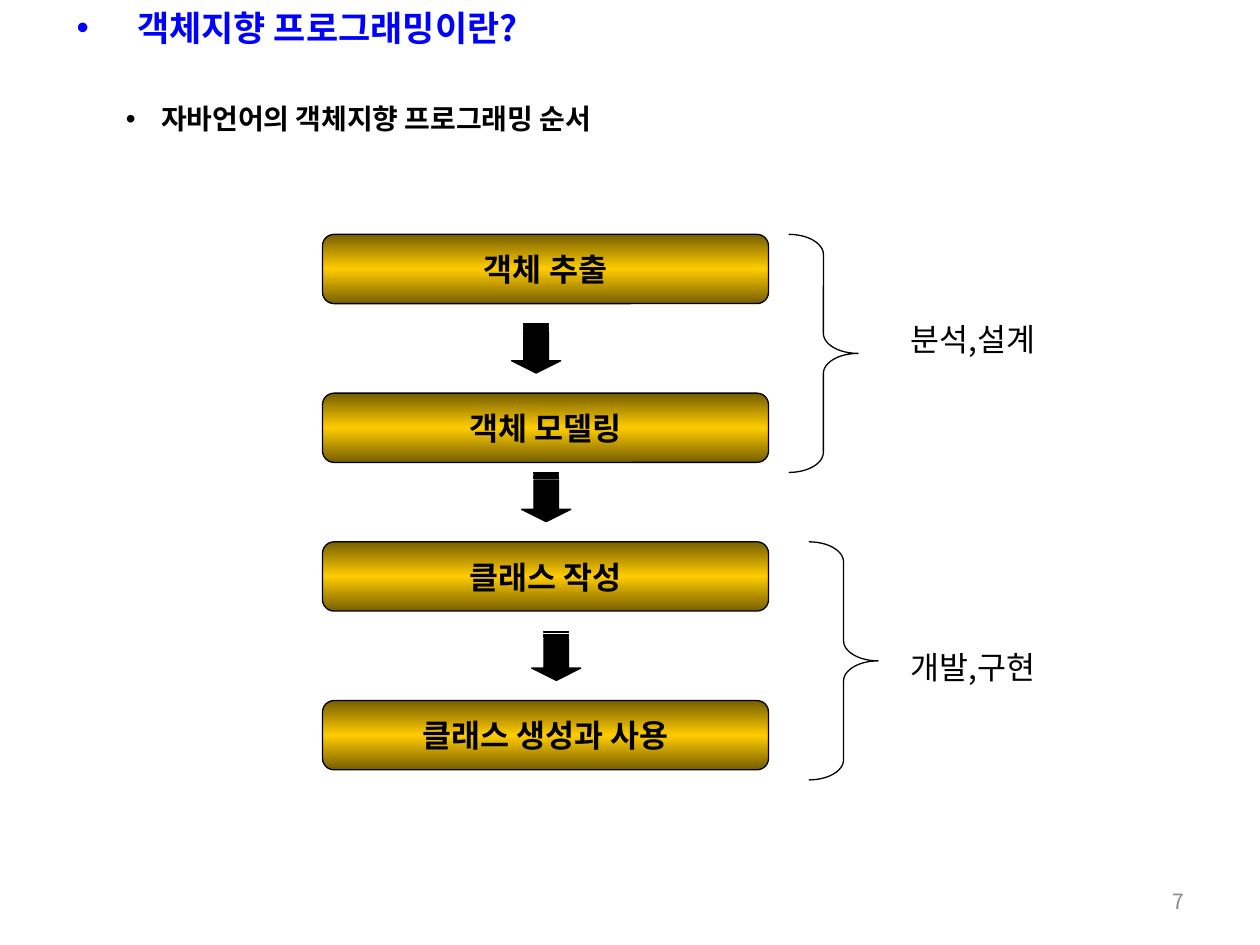
from copy import deepcopy

from lxml.etree import SubElement
from pptx import Presentation
from pptx.dml.color import RGBColor
from pptx.enum.shapes import MSO_SHAPE
from pptx.enum.text import MSO_ANCHOR, PP_ALIGN
from pptx.oxml.ns import qn
from pptx.util import Inches, Pt

FONT = "Noto Sans CJK KR"
BLACK, BLUE, GREY = "000000", "0000FF", "898989"
GRADIENT = [(0, "765E00"), (0.5, "FFCC00"), (1, "765E00")]

# text, left, top, width, height, size, colour, hanging indent, space before
HEADINGS = [
    ("객체지향 프로그래밍이란?", 0.51, 0, 8.43, 0.44, 20, BLUE, 0.48, 12.5),
    ("자바언어의 객체지향 프로그래밍 순서", 0.9, 0.76, 8.58, 0.37, 16, BLACK, 0.28, 10),
]
STEPS = [("객체 추출", 1.86), ("객체 모델링", 3.12),
         ("클래스 작성", 4.3), ("클래스 생성과 사용", 5.56)]
STEP_LEFT, STEP_WIDTH, STEP_HEIGHT = 2.56, 3.54, 0.55
ARROW_TOPS = [2.57, 3.75, 5.01]
ARROW_LEFT, ARROW_SHIFT, ARROW_SIZE = 4.06, 0.08, 0.39
# text, label top, brace left, brace top
PHASES = [("분석,설계", 2.49, 6.26, 1.86), ("개발,구현", 5.09, 6.42, 4.3)]
BRACE_WIDTH, BRACE_HEIGHT = 0.55, 1.89
LABEL_LEFT, LABEL_WIDTH, LABEL_HEIGHT = 7.13, 2.12, 0.4


def color(value):
    return RGBColor.from_string(value)


def write(shape, text, size, value=BLACK, bold=False,
          align=PP_ALIGN.LEFT, anchor=MSO_ANCHOR.TOP, space=0, wrap=True):
    frame = shape.text_frame
    frame.word_wrap = wrap
    frame.vertical_anchor = anchor
    paragraph = frame.paragraphs[0]
    paragraph.alignment = align
    paragraph.space_before = Pt(space)
    run = paragraph.add_run()
    run.text = text
    run.font.size = Pt(size)
    run.font.bold = bold
    run.font.name = FONT
    run.font.color.rgb = color(value)
    SubElement(run.font._element, qn("a:ea"), typeface=FONT)
    return paragraph


def add_bullet(paragraph, value, indent):
    properties = paragraph._p.get_or_add_pPr()
    properties.set("marL", str(Inches(indent)))
    properties.set("indent", str(-Inches(indent)))
    bullet_color = SubElement(properties, qn("a:buClr"))
    SubElement(bullet_color, qn("a:srgbClr"), val=value)
    SubElement(properties, qn("a:buFont"), typeface="Arial")
    SubElement(properties, qn("a:buChar"), char="•")


def fill_gradient(shape):
    shape.fill.gradient()
    shape.fill.gradient_angle = 270
    stop_list = shape._element.spPr.find(qn("a:gradFill")).find(qn("a:gsLst"))
    stop_list.append(deepcopy(stop_list[0]))
    for stop, (position, value) in zip(shape.fill.gradient_stops, GRADIENT):
        stop.position = position
        stop.color.rgb = color(value)


def add_box(slide, *place):
    return slide.shapes.add_textbox(*map(Inches, place))


def add_outlined(slide, kind, adjustments, *place):
    shape = slide.shapes.add_shape(kind, *map(Inches, place))
    shape.shadow.inherit = False
    for index, value in enumerate(adjustments):
        shape.adjustments[index] = value
    shape.line.color.rgb = color(BLACK)
    shape.line.width = Pt(0.75)
    return shape


def main():
    presentation = Presentation()
    presentation.slide_width, presentation.slide_height = Inches(10), Inches(7.5)
    slide = presentation.slides.add_slide(presentation.slide_layouts[6])

    write(add_box(slide, 7.17, 6.95, 2.33, 0.4), "7", 12, GREY,
          align=PP_ALIGN.RIGHT, anchor=MSO_ANCHOR.MIDDLE)

    for text, left, top, width, height, size, value, indent, space in HEADINGS:
        box = add_box(slide, left, top, width, height)
        paragraph = write(box, text, size, value, bold=True, space=space)
        add_bullet(paragraph, value, indent)

    for text, top in STEPS:
        step = add_outlined(slide, MSO_SHAPE.ROUNDED_RECTANGLE, [0.167],
                            STEP_LEFT, top, STEP_WIDTH, STEP_HEIGHT)
        fill_gradient(step)
        write(step, text, 18, bold=True, align=PP_ALIGN.CENTER,
              anchor=MSO_ANCHOR.MIDDLE, wrap=False)

    for index, top in enumerate(ARROW_TOPS):
        arrow = add_outlined(slide, MSO_SHAPE.STRIPED_RIGHT_ARROW, [0.5, 0.25],
                             ARROW_LEFT + index * ARROW_SHIFT, top,
                             ARROW_SIZE, ARROW_SIZE)
        arrow.rotation = 90
        arrow.fill.solid()
        arrow.fill.fore_color.rgb = color(BLACK)

    for text, label_top, brace_left, brace_top in PHASES:
        brace = add_outlined(slide, MSO_SHAPE.RIGHT_BRACE, [0.29, 0.5],
                             brace_left, brace_top, BRACE_WIDTH, BRACE_HEIGHT)
        brace.fill.background()
        label = add_box(slide, LABEL_LEFT, label_top, LABEL_WIDTH, LABEL_HEIGHT)
        write(label, text, 18, space=11.2)

    presentation.save("out.pptx")


if __name__ == "__main__":
    main()
